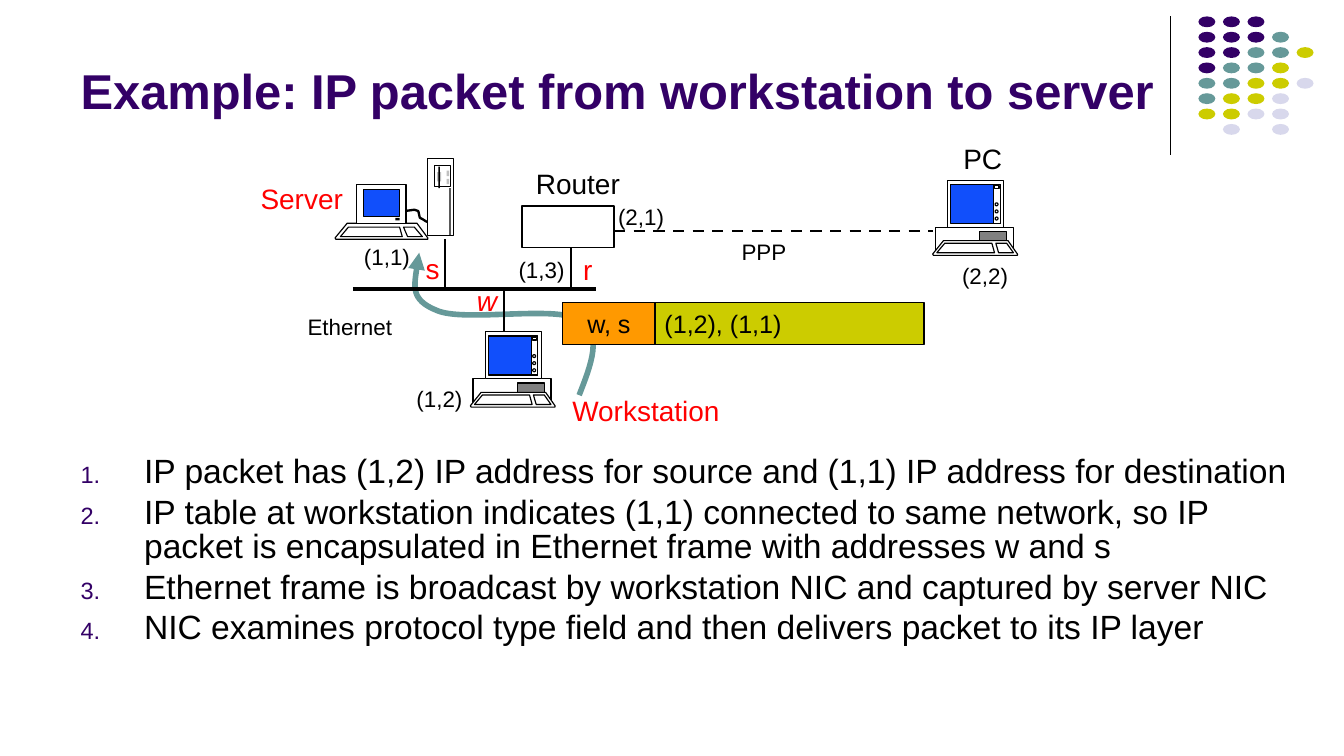
from dataclasses import dataclass

from lxml import etree
from pptx import Presentation
from pptx.dml.color import RGBColor
from pptx.enum.dml import MSO_LINE
from pptx.enum.shapes import MSO_CONNECTOR, MSO_SHAPE
from pptx.enum.text import MSO_ANCHOR, MSO_AUTO_SIZE, PP_ALIGN
from pptx.oxml.ns import qn
from pptx.util import Pt

RECT, OVAL = MSO_SHAPE.RECTANGLE, MSO_SHAPE.OVAL
STRAIGHT, DASH = MSO_CONNECTOR.STRAIGHT, MSO_LINE.DASH
LEFT, CENTER = PP_ALIGN.LEFT, PP_ALIGN.CENTER
BOTTOM, MIDDLE, TOP = MSO_ANCHOR.BOTTOM, MSO_ANCHOR.MIDDLE, MSO_ANCHOR.TOP
FIT, FIXED = MSO_AUTO_SIZE.SHAPE_TO_FIT_TEXT, MSO_AUTO_SIZE.NONE


@dataclass(frozen=True)
class Theme:
    """Colours, font and type sizes of the slide."""
    font: str = "Arial"
    ink: str = "000000"
    paper: str = "FFFFFF"
    plum: str = "330066"
    teal: str = "669999"
    lime: str = "CCCC00"
    mist: str = "D8D8EC"
    red: str = "FF0000"
    blue: str = "114FFB"
    gold: str = "FF9900"
    gray: str = "808080"
    pale: str = "C0C0C0"
    head: float = 26.2
    body: float = 18
    name: float = 15
    frame: float = 13.5
    note: float = 12
    thin: float = 0.63


T = Theme()

POINTS = [
    "IP packet has (1,2) IP address for source and (1,1) IP address for destination",
    "IP table at workstation indicates (1,1) connected to same network, so IP "
    "packet is encapsulated in Ethernet frame with addresses w and s",
    "Ethernet frame is broadcast by workstation NIC and captured by server NIC",
    "NIC examines protocol type field and then delivers packet to its IP layer",
]
DOTS = ["PPP", "PPPT", "PPTTY", "PTTY", "TTYYL", "TYYL", "YYLL", " L L"]
LABELS = [
    ("(1,1)", 187.9, 126.7, 39.6, T.note, T.ink),
    ("(1,2)", 216, 203, 39.6, T.note, T.ink),
    ("(1,3)", 270.7, 133.8, 39.6, T.note, T.ink),
    ("(2,1)", 324, 105.1, 39.6, T.note, T.ink),
    ("(2,2)", 508.3, 136.8, 39.6, T.note, T.ink),
    ("PPP", 390.2, 123.8, 38.9, T.note, T.ink),
    ("Ethernet", 157.7, 164.2, 59.8, T.note, T.ink),
    ("PC", 509, 72, 35.3, T.name, T.ink),
    ("Router", 280, 85.7, 60.5, T.name, T.ink),
    ("Server", 132.5, 93.6, 59, T.name, T.red),
    ("Workstation", 299.5, 207.4, 94.3, T.name, T.red),
    ("s", 221, 131, 22.3, T.name, T.red),
    ("r", 305.3, 131.8, 19.4, T.name, T.red),
]


def rgb(tone):
    """Turn a hex string into a colour."""
    return RGBColor.from_string(tone)


def style(para, size, tone, bold=False):
    """Set the font of a paragraph."""
    font = para.font
    font.name, font.size, font.bold = T.font, Pt(size), bold
    font.color.rgb = rgb(tone)


def paint(shape, fill, line, width):
    """Set fill and outline, where None means empty."""
    shape.shadow.inherit = False
    for part, tone in ((shape.fill, fill), (shape.line.fill, line)):
        if tone:
            part.solid()
            part.fore_color.rgb = rgb(tone)
        else:
            part.background()
    if line:
        shape.line.width = Pt(width)


def place(shape, *spot):
    """Move and size a shape."""
    shape.left, shape.top, shape.width, shape.height = map(Pt, spot)


def add_box(shapes, spot, fill=T.paper, line=T.ink, width=T.thin, kind=RECT):
    """Add a filled preset shape."""
    shape = shapes.add_shape(kind, *map(Pt, spot))
    paint(shape, fill, line, width)
    return shape


def add_poly(shapes, spots, fill=T.paper, line=T.ink, width=T.thin, close=True):
    """Add an outline through the given points."""
    first, *rest = [(Pt(x), Pt(y)) for x, y in spots]
    pen = shapes.build_freeform(*first)
    pen.add_line_segments(rest, close=close)
    shape = pen.convert_to_shape()
    paint(shape, fill, line, width)
    return shape


def add_curve(shapes, spots):
    """Add an arrow of cubic curves, three points to each."""
    shape = add_poly(shapes, spots, None, T.teal, 3, False)
    steps = list(shape._element.iter(qn("a:lnTo")))
    for i in range(0, len(steps), 3):
        curve = steps[i]
        curve.tag = qn("a:cubicBezTo")
        for step in steps[i + 1:i + 3]:
            curve.append(step[0])
            step.getparent().remove(step)
    ln = shape.line._get_or_add_ln()
    etree.SubElement(ln, qn("a:tailEnd"), type="triangle")


def add_line(shapes, ends, width, dash=None):
    """Add a straight black line."""
    line = shapes.add_connector(STRAIGHT, *map(Pt, ends))
    line.line.color.rgb = rgb(T.ink)
    line.line.width = Pt(width)
    if dash:
        line.line.dash_style = dash
    etree.SubElement(line._element.spPr, qn("a:effectLst"))


def add_label(shapes, text, x, y, wide, size, tone):
    """Add a one-line label."""
    box = shapes.add_textbox(Pt(x), Pt(y), Pt(wide), Pt(size * 1.15 + 7.2))
    frame = box.text_frame
    frame.word_wrap, frame.auto_size = False, FIT
    para = frame.paragraphs[0]
    para.text = text
    style(para, size, tone)
    return para


def add_field(shapes, text, spot, fill, align):
    """Add one field of the Ethernet frame."""
    frame = add_box(shapes, spot, fill, width=0.75).text_frame
    frame.vertical_anchor, frame.word_wrap = MIDDLE, False
    frame.margin_left = frame.margin_right = Pt(5)
    para = frame.paragraphs[0]
    para.text, para.alignment = text, align
    style(para, T.frame, T.ink)


def add_keys(shapes, *outlines):
    """Add the outlines of a keyboard."""
    for spots in outlines:
        add_poly(shapes, spots)


def add_pc(shapes, x, y):
    """Add a desktop computer."""
    group = shapes.add_group_shape()
    kit = group.shapes
    add_box(kit, (1.4, 25.2, 41.8, 13))
    add_box(kit, (25.2, 27.4, 14.4, 5.8), T.gray)
    add_keys(
        kit,
        [(5.8, 32.4), (40.3, 32.4), (45.4, 39.6), (45.4, 40.3), (0.4, 40.3), (0, 39.6)],
        [(6.5, 33.8), (31.7, 33.8), (33.1, 38.9), (2.2, 38.9)],
        [(33.8, 33.8), (39.6, 33.8), (43.2, 38.9), (35.3, 38.9)])
    add_box(kit, (7.9, 0, 30.2, 25.2))
    add_box(kit, (9.6, 2.2, 26.6, 20.9), T.blue)
    add_box(kit, (32.6, 2.2, 3.6, 20.9))
    add_box(kit, (33.3, 3, 2.2, 1.4))
    for row in range(3):
        add_box(kit, (33.4, 12.2 + 3.8 * row, 1.6, 1.6), kind=OVAL)
    group.left, group.top = Pt(x), Pt(y)


def add_server(shapes, x, y):
    """Add a terminal wired to a tower."""
    group = shapes.add_group_shape()
    kit = group.shapes
    cable = [(37.4, 28.1), (42.5, 27.4), (44.6, 28.1), (45.4, 31.7),
             (46.8, 32.4), (49, 33.8), (51.1, 33.8)]
    add_poly(kit, cable, None, width=1.25, close=False)
    add_keys(
        kit,
        [(6.5, 34.6), (43.9, 34.6), (49.7, 42.5), (49.7, 43.2), (0.4, 43.2), (0, 42.5)],
        [(7.2, 36.7), (34.6, 36.7), (36, 41.8), (2.9, 41.8)],
        [(36.7, 36.7), (42.5, 36.7), (46.8, 41.8), (38.9, 41.8)])
    add_box(kit, (11.5, 13.7, 26.6, 20.9))
    add_box(kit, (15.1, 16.6, 19.4, 14.4), T.blue)
    add_box(kit, (32.4, 31.7, 2.2, 1.4), T.ink, None)
    add_box(kit, (49.7, 0, 13.7, 41))
    add_box(kit, (53.3, 3.6, 8.6, 11.5))
    for tone, *spot in ((T.ink, 61.2, 15.8, 0.7, 25.2), (T.pale, 54.7, 7.2, 2.2, 5),
                        (T.ink, 55.4, 4.3, 0.7, 11.5), (T.pale, 59.8, 6.5, 1.4, 2.9),
                        (T.pale, 59.8, 10.8, 1.4, 2.9)):
        add_box(kit, spot, tone, None)
    group.left, group.top = Pt(x), Pt(y)


def add_dots(shapes):
    """Add the corner grid of dots."""
    tones = {"P": T.plum, "T": T.teal, "Y": T.lime, "L": T.mist}
    kit = shapes.add_group_shape().shapes
    for row, marks in enumerate(DOTS):
        for col, mark in enumerate(marks):
            if mark in tones:
                spot = (642 + 13.15 * col, 8.8 + 8.23 * row, 9.1, 5.8)
                add_box(kit, spot, tones[mark], None, kind=OVAL)


def set_title(title, text):
    """Fill and place the title."""
    place(title, 36, 7.2, 594, 60.5)
    frame = title.text_frame
    frame.vertical_anchor, frame.auto_size = BOTTOM, FIXED
    para = frame.paragraphs[0]
    para.text, para.alignment = text, LEFT
    style(para, T.head, T.plum, True)


def set_list(body, items):
    """Fill the body with a numbered list."""
    place(body, 36, 241, 670.3, 104.4)
    frame = body.text_frame
    frame.vertical_anchor, frame.auto_size = TOP, FIXED
    for i, item in enumerate(items):
        para = frame.add_paragraph() if i else frame.paragraphs[0]
        para.text = item
        props = para._p.get_or_add_pPr()
        props.set("marL", str(Pt(34)))
        props.set("indent", str(Pt(-34)))
        hue = etree.SubElement(props, qn("a:buClr"))
        etree.SubElement(hue, qn("a:srgbClr"), val=T.plum)
        etree.SubElement(props, qn("a:buSzPct"), val="70000")
        etree.SubElement(props, qn("a:buFont"), typeface=T.font)
        etree.SubElement(props, qn("a:buAutoNum"), type="arabicPeriod")
        para.line_spacing, para.space_before = 0.85, Pt(3.3 if i else 0)
        style(para, T.body, T.ink)


def main():
    """Build and save the slide."""
    deck = Presentation()
    deck.slide_width, deck.slide_height = Pt(720), Pt(405)
    slide = deck.slides.add_slide(deck.slide_layouts[1])
    shapes = slide.shapes
    set_title(shapes.title, "Example: IP packet from workstation to server")
    set_list(slide.placeholders[1], POINTS)
    add_line(shapes, (627, 8.6, 627, 82.8), 0.75)
    add_dots(shapes)
    add_curve(shapes, [(310.3, 211.7), (316.8, 195.1), (323.3, 178.6), (310.3, 171.4),
                       (298.1, 163.4), (248.4, 172.8), (234, 166.3),
                       (219.6, 160.6), (222.5, 147.6), (224.6, 135.4)])
    add_line(shapes, (189, 155, 319.5, 155), 2.25)
    add_pc(shapes, 252, 177.8)
    add_server(shapes, 179.5, 85)
    add_box(shapes, (279.5, 110.3, 49.5, 22.3), width=1)
    for x, top, end in ((238.5, 128.2, 155), (270, 155, 177.8), (306, 132.6, 155)):
        add_line(shapes, (x, top, x, end), 1)
    add_pc(shapes, 499.7, 96.5)
    add_line(shapes, (329, 123.8, 499.7, 123.8), 1.5, DASH)
    for label in LABELS:
        add_label(shapes, *label)
    add_label(shapes, "w", 248.4, 148.3, 25.2, T.name, T.red).font.italic = True
    add_field(shapes, "(1,2), (1,1)", (351, 162, 144, 22.5), T.lime, LEFT)
    add_field(shapes, "w, s", (301.5, 162, 49.5, 22.5), T.gold, CENTER)
    deck.save("out.pptx")


if __name__ == "__main__":
    main()
